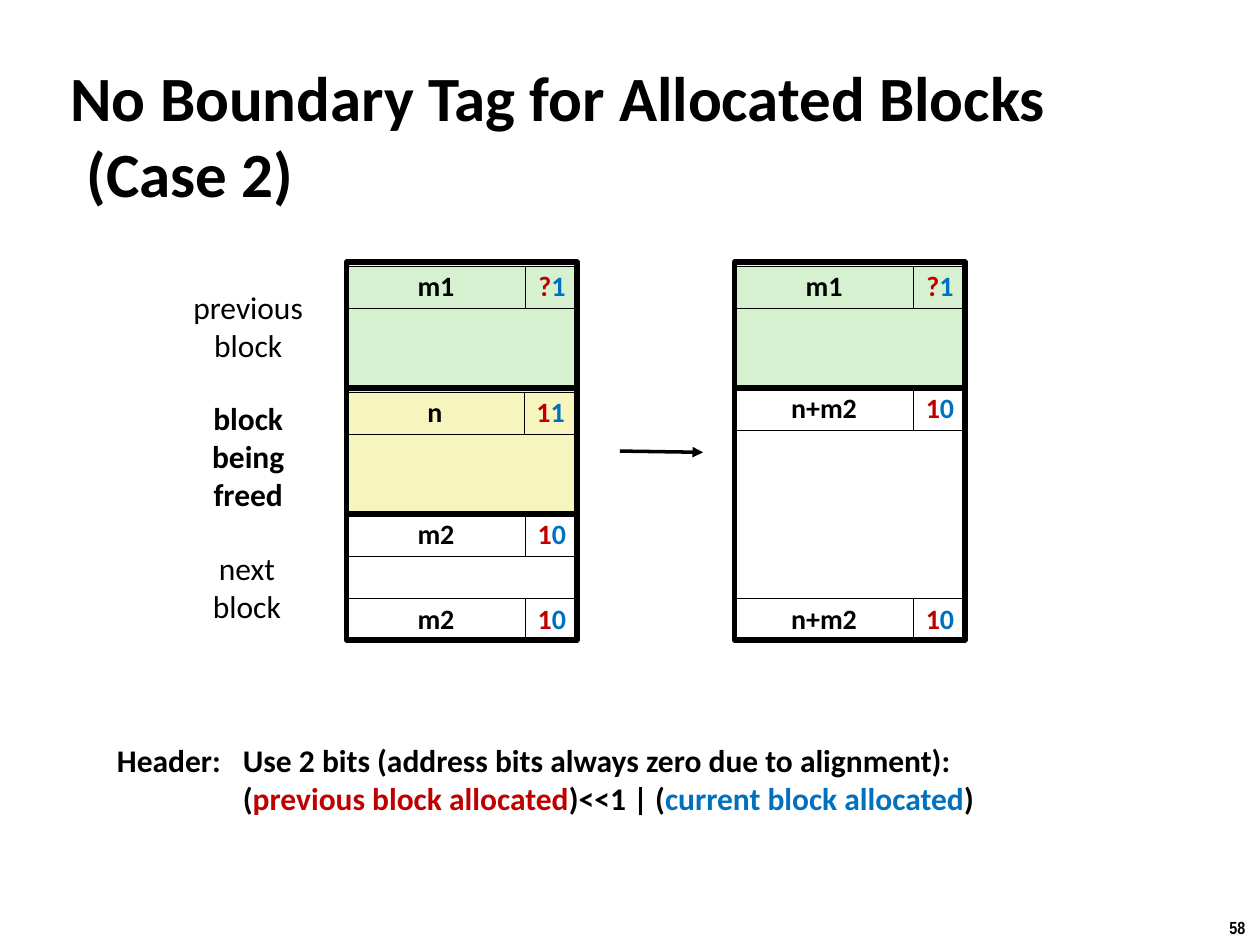
from lxml.etree import SubElement
from pptx import Presentation
from pptx.dml.color import RGBColor
from pptx.enum.shapes import MSO_CONNECTOR, MSO_SHAPE
from pptx.enum.text import MSO_ANCHOR, MSO_AUTO_SIZE, PP_ALIGN
from pptx.oxml.ns import qn
from pptx.util import Inches, Pt

COLORS = {
    "ink": "000000", "white": "FFFFFF", "green": "D5F1CF",
    "yellow": "F6F5BD", "red": "C00000", "blue": "0070C0",
}
FONT = "Calibri"
ROW = 1 / 3
WIDTH, NAME_W, TAG_W = 1.83, 1.42, 0.42
TOP, LEFT, RIGHT = 2.08, 2.75, 5.83


def color(key):
    return RGBColor.from_string(COLORS[key])


def add_run(para, text, size, key="ink", bold=True, font=FONT):
    run = para.add_run()
    run.text = text
    run.font.name, run.font.size, run.font.bold = font, Pt(size), bold
    run.font.color.rgb = color(key)


def add_rect(slide, x, y, w, h, fill=None, line=0.25, runs=()):
    """Add a box; runs are (text, color) pairs."""
    box = slide.shapes.add_shape(
        MSO_SHAPE.RECTANGLE, Inches(x), Inches(y), Inches(w), Inches(h))
    box.shadow.inherit = False
    if fill:
        box.fill.solid()
        box.fill.fore_color.rgb = color(fill)
    else:
        box.fill.background()
    box.line.color.rgb = color("ink")
    box.line.width = Pt(line)
    if runs:
        frame = box.text_frame
        frame.word_wrap = False
        frame.vertical_anchor = MSO_ANCHOR.MIDDLE
        para = frame.paragraphs[0]
        para.alignment = PP_ALIGN.CENTER
        para.line_spacing = 0.98
        for text, key in runs:
            add_run(para, text, 16, key)


def add_block(slide, x, y, rows, fill, name, bits, foot=False, drop=0, shift=0):
    """Draw a heap block; drop and shift nudge its header."""
    def add_tag(top, dx=0):
        add_rect(slide, x + dx, top, NAME_W, ROW, fill, runs=[(name, "ink")])
        add_rect(slide, x + NAME_W + dx, top, TAG_W, ROW, fill,
                 runs=zip_bits)

    zip_bits = list(zip(bits, ("red", "blue")))
    body = rows - 2 if foot else rows - 1
    add_rect(slide, x, y + ROW + drop, WIDTH, body * ROW, fill)
    add_tag(y + drop, shift)
    if foot:
        add_tag(y + (rows - 1) * ROW)
    add_rect(slide, x, y, WIDTH, rows * ROW, line=3)


def add_text(slide, x, y, w, h, align=PP_ALIGN.LEFT):
    """Add an unwrapped text box and return its paragraph."""
    box = slide.shapes.add_textbox(Inches(x), Inches(y), Inches(w), Inches(h))
    box.text_frame.word_wrap = False
    para = box.text_frame.paragraphs[0]
    para.alignment = align
    return para


def add_label(slide, x, y, w, h, lines, bold=False):
    para = add_text(slide, x, y, w, h, PP_ALIGN.CENTER)
    for i, line in enumerate(lines):
        if i:
            para.add_line_break()
        add_run(para, line, 18, bold=bold)


def add_arrow(slide, x1, y1, x2, y2):
    arrow = slide.shapes.add_connector(
        MSO_CONNECTOR.STRAIGHT, Inches(x1), Inches(y1), Inches(x2), Inches(y2))
    arrow.line.color.rgb = color("ink")
    arrow.line.width = Pt(2)
    SubElement(arrow.line._get_or_add_ln(), qn("a:tailEnd"), type="triangle")
    SubElement(arrow._element.spPr, qn("a:effectLst"))


def add_title(slide, text):
    title = slide.shapes.title
    title.left, title.top = Inches(0.46), Inches(0.75)
    title.width, title.height = Inches(9.08), Inches(0.63)
    frame = title.text_frame
    frame.auto_size = MSO_AUTO_SIZE.NONE
    frame.vertical_anchor = MSO_ANCHOR.MIDDLE
    para = frame.paragraphs[0]
    para.alignment = PP_ALIGN.LEFT
    props = para._p.get_or_add_pPr()
    props.set("marL", str(Inches(0.13)))
    props.set("indent", str(-Inches(0.13)))
    add_run(para, text, 36)


def add_note(slide):
    para = add_text(slide, 0.83, 5.83, 7.06, 0.71)
    tabs = SubElement(para._p.get_or_add_pPr(), qn("a:tabLst"))
    SubElement(tabs, qn("a:tab"), pos=str(Inches(1)), algn="l")
    add_run(para, "Header: \tUse 2 bits (address bits always zero due to alignment):", 18)
    para.add_line_break()
    for text, key in [
        ("\t(", "ink"), ("previous block allocated", "red"),
        (")<<1 | (", "ink"), ("current block allocated", "blue"), (")", "ink"),
    ]:
        add_run(para, text, 18, key)


def main():
    deck = Presentation()
    deck.slide_width, deck.slide_height = Inches(10), Inches(7.5)
    slide = deck.slides.add_slide(deck.slide_layouts[5])

    add_title(slide, "No Boundary Tag for Allocated Blocks (Case 2)")
    add_block(slide, LEFT, TOP, 3, "green", "m1", "?1", drop=0.03)
    add_block(slide, LEFT, TOP + 1, 3, "yellow", "n", "11", drop=0.03, shift=-0.01)
    add_block(slide, LEFT, TOP + 2, 3, "white", "m2", "10", foot=True)
    add_block(slide, RIGHT, TOP, 3, "green", "m1", "?1", drop=0.03)
    add_block(slide, RIGHT, TOP + 1, 6, "white", "n+m2", "10", foot=True)
    add_arrow(slide, 4.92, 3.58, 5.58, 3.59)

    add_label(slide, 1.42, 2.24, 1.1, 0.71, ["previous", "block"])
    add_label(slide, 1.58, 3.12, 0.78, 1.01, ["block", "being", "freed"], bold=True)
    add_label(slide, 1.58, 4.31, 0.76, 0.71, ["next", "block"])
    add_note(slide)
    add_run(add_text(slide, 9.66, 7.23, 0.34, 0.27), "58", 10, font="Arial Narrow")
    deck.save("out.pptx")


if __name__ == "__main__":
    main()
